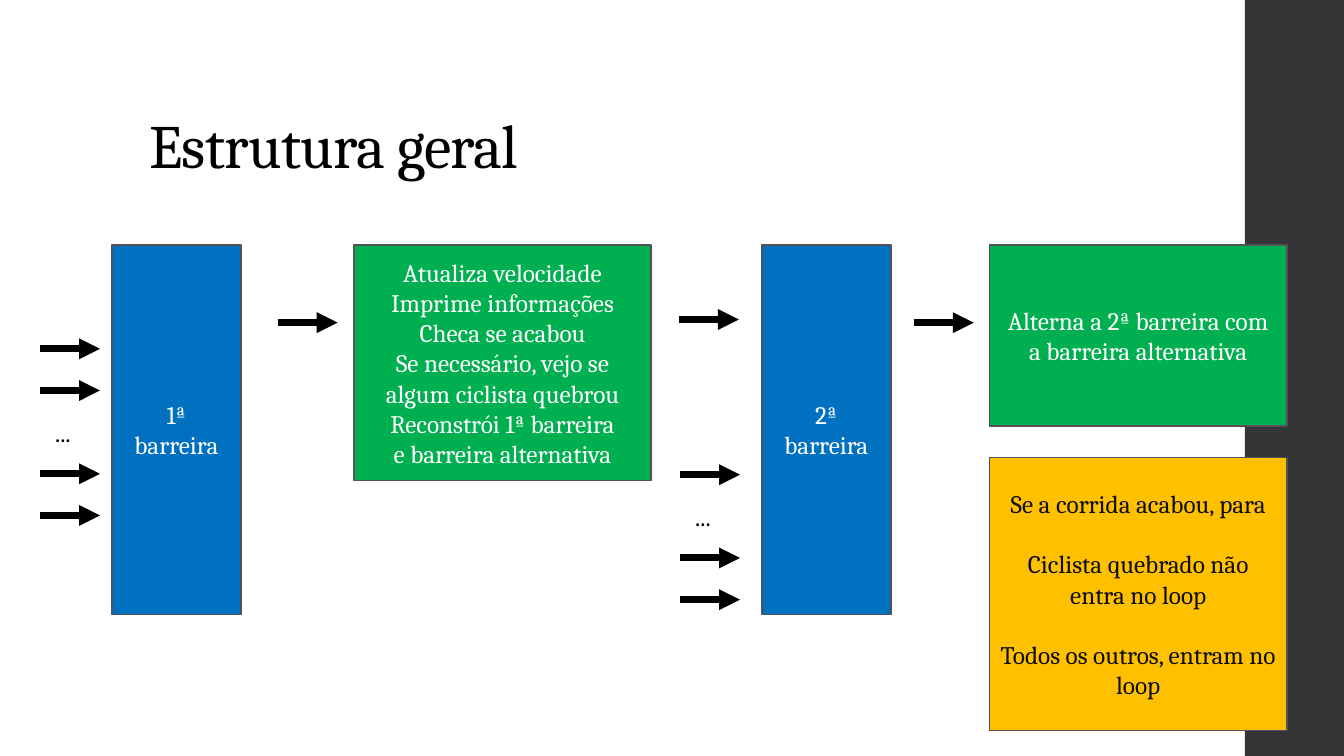
from lxml import etree
from pptx import Presentation
from pptx.dml.color import RGBColor
from pptx.enum import shapes, text
from pptx.oxml import ns
from pptx.util import Cm, Pt

BLACK = RGBColor(0x00, 0x00, 0x00)
WHITE = RGBColor(0xFF, 0xFF, 0xFF)
INK = RGBColor(0x0D, 0x0D, 0x0D)
DARK = RGBColor(0x35, 0x35, 0x37)
EDGE = RGBColor(0x52, 0x52, 0x56)
BLUE = RGBColor(0x00, 0x70, 0xC0)
GREEN = RGBColor(0x00, 0xB0, 0x50)
GOLD = RGBColor(0xFF, 0xC0, 0x00)

FACE = "Cambria"
TOP = 6.17      # shared top of the boxes, cm
STEP = 1.05     # distance between stacked arrows, cm


def style(para, size, color):
    para.font.name = FACE
    para.font.size = Pt(size)
    para.font.color.rgb = color


def rect(slide, x, y, w, h, fill):
    shape = slide.shapes.add_shape(
        shapes.MSO_SHAPE.RECTANGLE, Cm(x), Cm(y), Cm(w), Cm(h))
    shape.shadow.inherit = False
    shape.fill.solid()
    shape.fill.fore_color.rgb = fill
    shape.line.fill.background()
    return shape


def box(slide, x, y, w, h, fill, lines, color=WHITE, gap=0):
    shape = rect(slide, x, y, w, h, fill)
    shape.line.color.rgb = EDGE
    shape.line.width = Pt(1.1)
    frame = shape.text_frame
    frame.word_wrap = True
    frame.vertical_anchor = text.MSO_ANCHOR.MIDDLE
    frame.text = "\n".join(lines)
    for i, para in enumerate(frame.paragraphs):
        para.alignment = text.PP_ALIGN.CENTER
        para.space_before = Pt(gap if i else 0)
        style(para, 18, color)


def arrow(slide, x, y):
    line = slide.shapes.add_connector(
        shapes.MSO_CONNECTOR.STRAIGHT, Cm(x), Cm(y), Cm(x + 1.5), Cm(y))
    line.line.color.rgb = BLACK
    line.line.width = Pt(5)
    head = etree.SubElement(line.line._get_or_add_ln(), ns.qn("a:tailEnd"))
    head.set("type", "triangle")
    etree.SubElement(line._element.spPr, ns.qn("a:effectLst"))


def stack(slide, x, y, rows):
    for row in rows:
        arrow(slide, x, y + row * STEP)


def dots(slide, x, y):
    frame = slide.shapes.add_textbox(
        Cm(x), Cm(y), Cm(0.94), Cm(1.12)).text_frame
    frame.word_wrap = False
    frame.auto_size = text.MSO_AUTO_SIZE.SHAPE_TO_FIT_TEXT
    frame.text = "..."
    style(frame.paragraphs[0], 18, BLACK)


def title(slide, words):
    shape = slide.shapes.title
    shape.left, shape.top = Cm(3.51), Cm(1.02)
    shape.width, shape.height = Cm(26.92), Cm(3.68)
    frame = shape.text_frame
    frame.text = words
    frame.word_wrap = True
    frame.vertical_anchor = text.MSO_ANCHOR.BOTTOM
    para = frame.paragraphs[0]
    para.alignment = text.PP_ALIGN.LEFT
    para.line_spacing = 0.9
    style(para, 44, BLACK)
    para.runs[0].font._element.set("spc", "-50")


def main():
    deck = Presentation()
    deck.slide_width, deck.slide_height = Cm(33.87), Cm(19.05)
    slide = deck.slides.add_slide(deck.slide_layouts[5])

    # Side band and title
    rect(slide, 31.37, 0, 2.54, 19.05, DARK)
    title(slide, "Estrutura geral")

    # Arrivals at the first barrier
    stack(slide, 1.02, 8.79, (0, 1, 3, 4))
    dots(slide, 1.14, 10.39)
    box(slide, 2.82, TOP, 3.25, 9.32, BLUE, ["1ª barreira"])

    # Work between the barriers
    arrow(slide, 7.01, 8.13)
    box(slide, 8.92, TOP, 7.49, 5.94, GREEN, [
        "Atualiza velocidade",
        "Imprime informações",
        "Checa se acabou",
        "Se necessário, vejo se algum ciclista quebrou",
        "Reconstrói 1ª barreira\ve barreira alternativa",
    ])

    # Arrivals at the second barrier
    arrow(slide, 17.12, 8.05)
    stack(slide, 17.15, 11.96, (0, 2, 3))
    dots(slide, 17.27, 12.52)
    box(slide, 19.2, TOP, 3.25, 9.32, BLUE, ["2ª barreira"])

    # After the second barrier
    arrow(slide, 23.04, 8.13)
    box(slide, 24.94, TOP, 7.49, 4.57, GREEN,
        ["Alterna a 2ª barreira com a barreira alternativa"])
    box(slide, 24.94, 11.53, 7.49, 6.88, GOLD, [
        "Se a corrida acabou, para",
        "Ciclista quebrado não entra no loop",
        "Todos os outros, entram no loop",
    ], INK, gap=21.5)

    deck.save("out.pptx")


if __name__ == "__main__":
    main()
